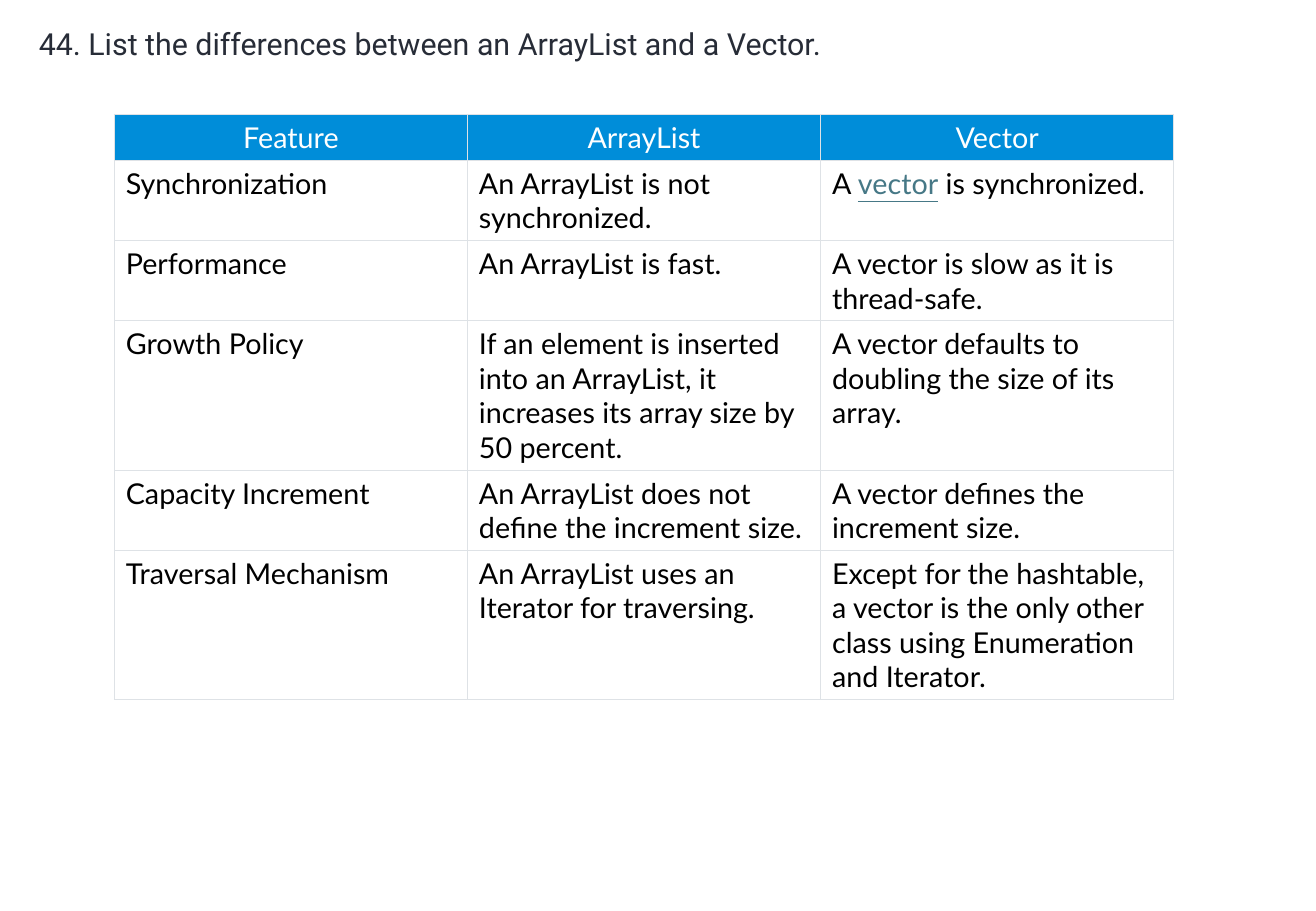
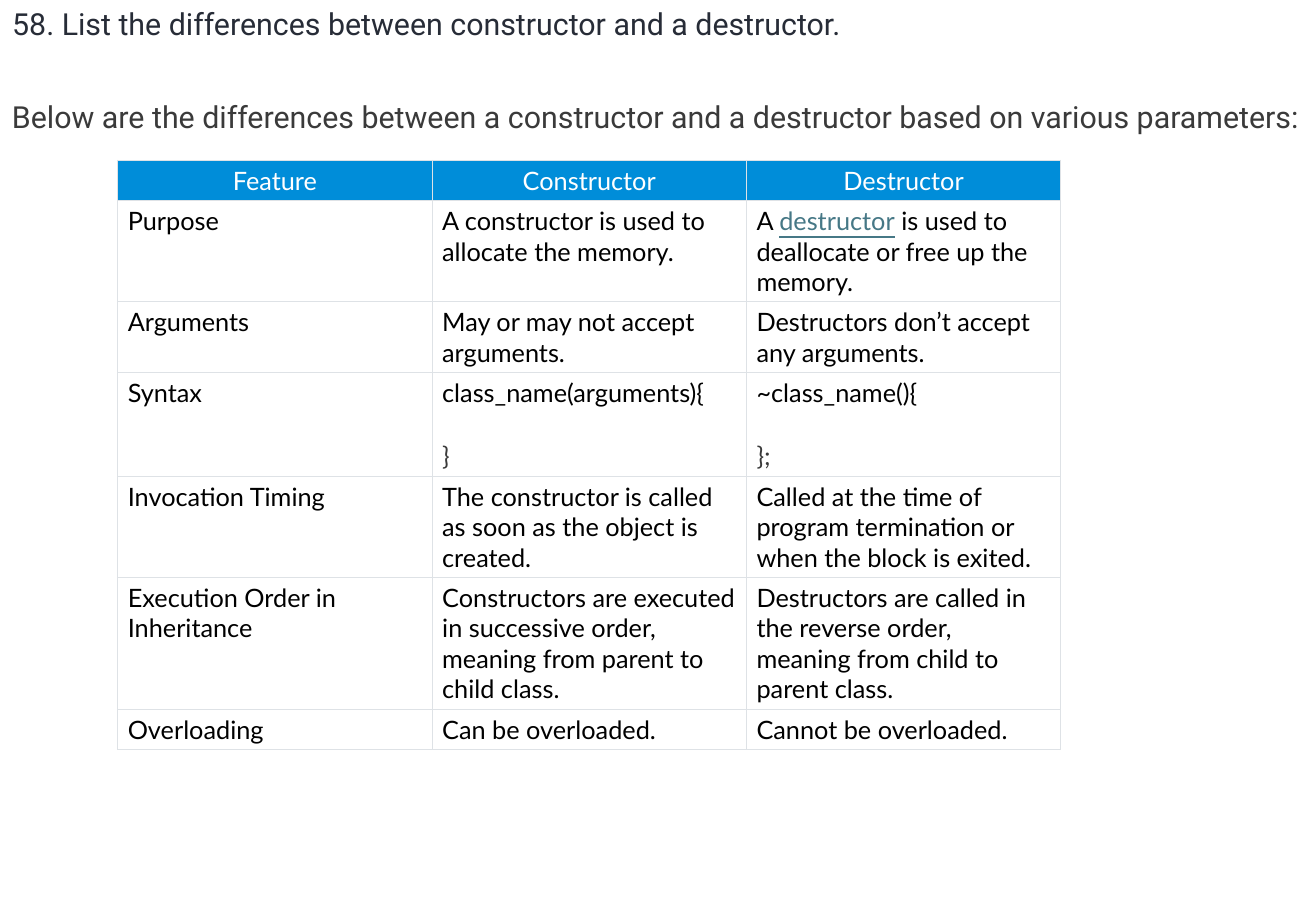
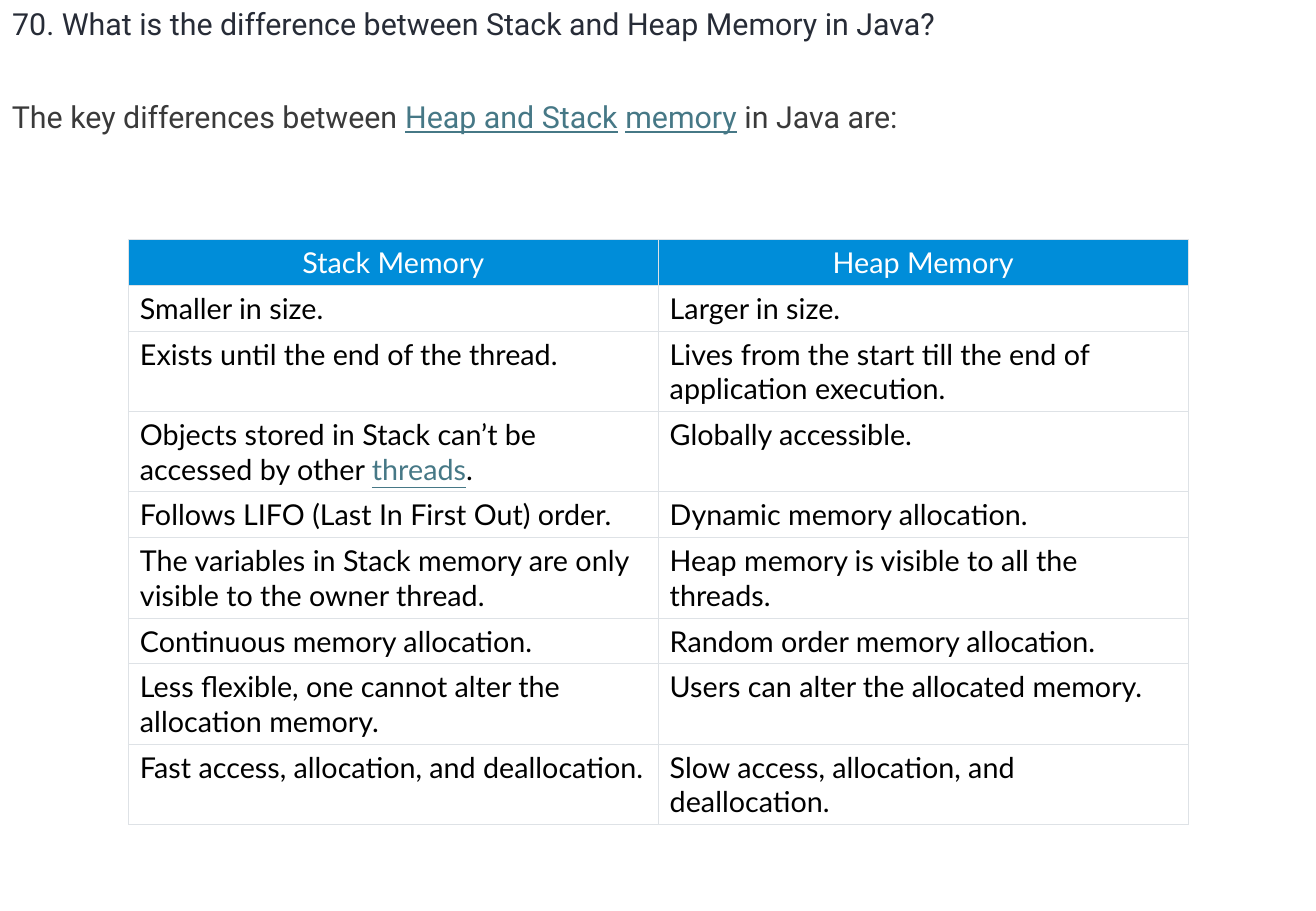
from dataclasses import dataclass

from lxml import etree
from pptx import Presentation
from pptx.dml.color import RGBColor
from pptx.enum.text import MSO_ANCHOR as Anchor, MSO_AUTO_SIZE as AutoSize, PP_ALIGN as Align
from pptx.oxml import parse_xml
from pptx.util import Pt


@dataclass(frozen=True)
class Theme:
    """Colours, fonts and sizes that the slides share."""
    title: str = "272C37"
    body: str = "3A3A3A"
    link: str = "467886"
    header: str = "008DD9"
    paper: str = "FFFFFF"
    ink: str = "000000"
    rule: str = "DEE2E6"
    rule_width: float = 0.6
    heading_font: str = "Roboto"
    table_font: str = "Lato"
    heading_size: float = 18
    line_pitch: float = 21
    intro_gap: float = 16.5
    intro_drop: float = 55.5
    heading_height: float = 28.2
    line_factor: float = 1.2
    side_inset: float = 0.4
    top_inset: float = 0.2


@dataclass(frozen=True)
class Box:
    """A place on the slide, in points."""
    left: float
    top: float
    width: float
    height: float = 0


THEME = Theme()
PAGE = Box(0, 0, 780, 540)
DRAWING = "http://schemas.openxmlformats.org/drawingml/2006/main"

COLLECTIONS = dict(
    question="44. List the differences between an ArrayList and a Vector.",
    heading_box=Box(15.8, 12.2, 518),
    table_box=Box(67.8, 67.8, 628),
    size=17,
    lines=[1, 2, 2, 4, 2, 4],
    rows=[
        ["Feature", "ArrayList", "Vector"],
        ["Synchronization", "An ArrayList is not synchronized.", "A *vector* is synchronized."],
        ["Performance", "An ArrayList is fast.", "A vector is slow as it is thread-safe."],
        ["Growth Policy",
         "If an element is inserted into an ArrayList, it increases its array size by 50 percent.",
         "A vector defaults to doubling the size of its array."],
        ["Capacity Increment", "An ArrayList does not define the increment size.",
         "A vector defines the increment size."],
        ["Traversal Mechanism", "An ArrayList uses an Iterator for traversing.",
         "Except for the hashtable, a vector is the only other class using Enumeration and Iterator."],
    ],
)

LIFECYCLE = dict(
    question="58. List the differences between constructor and a destructor.",
    intro="Below are the differences between a constructor and a destructor "
          "based on various parameters:",
    heading_box=Box(0, 0, 780),
    table_box=Box(69.8, 95, 559),
    size=15,
    lines=[1, 3, 2, 3, 3, 4, 1],
    rows=[
        ["Feature", "Constructor", "Destructor"],
        ["Purpose", "A constructor is used to allocate the memory.",
         "A *destructor* is used to deallocate or free up the memory."],
        ["Arguments", "May or may not accept arguments.", "Destructors don’t accept any arguments."],
        ["Syntax", "class_name(arguments){\n}", "~class_name(){\n};"],
        ["Invocation Timing", "The constructor is called as soon as the object is created.",
         "Called at the time of program termination or when the block is exited."],
        ["Execution Order in Inheritance",
         "Constructors are executed in successive order, meaning from parent to child class.",
         "Destructors are called in the reverse order, meaning from child to parent class."],
        ["Overloading", "Can be overloaded.", "Cannot be overloaded."],
    ],
)

MEMORY = dict(
    question="70. What is the difference between Stack and Heap Memory in Java?",
    intro="The key differences between *Heap and Stack* *memory* in Java are:",
    heading_box=Box(0, 0, 731),
    table_box=Box(76.2, 142, 628),
    size=17,
    lines=[1, 1, 2, 2, 1, 2, 1, 2, 2],
    rows=[
        ["Stack Memory", "Heap Memory"],
        ["Smaller in size.", "Larger in size."],
        ["Exists until the end of the thread.",
         "Lives from the start till the end of application execution."],
        ["Objects stored in Stack can’t be accessed by other *threads*.", "Globally accessible."],
        ["Follows LIFO (Last In First Out) order.", "Dynamic memory allocation."],
        ["The variables in Stack memory are only visible to the owner thread.",
         "Heap memory is visible to all the threads."],
        ["Continuous memory allocation.", "Random order memory allocation."],
        ["Less flexible, one cannot alter the allocation memory.",
         "Users can alter the allocated memory."],
        ["Fast access, allocation, and deallocation.", "Slow access, allocation, and deallocation."],
    ],
)


def add_spans(para, text, font, size, color):
    """Add the text run by run; parts between asterisks look like links."""
    for index, part in enumerate(text.split("*")):
        if not part:
            continue
        linked = index % 2 == 1
        span = para.add_run()
        span.text = part
        span.font.name = font
        span.font.size = Pt(size)
        span.font.underline = linked
        span.font.color.rgb = RGBColor.from_string(THEME.link if linked else color)


def fill_heading(shape, box, text, color, align):
    """Place a one-line heading in its box."""
    shape.left, shape.top = Pt(box.left), Pt(box.top)
    shape.width, shape.height = Pt(box.width), Pt(THEME.heading_height)
    frame = shape.text_frame
    frame.word_wrap = True
    frame.auto_size = AutoSize.NONE
    frame.vertical_anchor = Anchor.TOP
    frame.margin_left = frame.margin_right = Pt(7.2)
    frame.margin_top = frame.margin_bottom = Pt(3.6)
    para = frame.paragraphs[0]
    para.alignment = align
    para.line_spacing = Pt(THEME.line_pitch)
    para.space_before = para.space_after = Pt(0)
    add_spans(para, text, THEME.heading_font, THEME.heading_size, color)


def add_heading(page, box, question, intro):
    """Put the question in the title and the introduction below it."""
    fill_heading(page.shapes.title, box, question, THEME.title, Align.LEFT)
    if intro:
        intro_box = Box(box.left, box.top + THEME.intro_drop, box.width)
        shape = page.shapes.add_textbox(0, 0, 0, 0)
        fill_heading(shape, intro_box, intro, THEME.body, Align.JUSTIFY)


def add_borders(cell):
    """Draw a thin line on all four sides of a cell."""
    properties = cell._tc.get_or_add_tcPr()
    for side in ("lnL", "lnR", "lnT", "lnB"):
        line = etree.SubElement(properties, f"{{{DRAWING}}}{side}", w=str(int(Pt(THEME.rule_width))))
        line.append(parse_xml(
            f'<a:solidFill xmlns:a="{DRAWING}"><a:srgbClr val="{THEME.rule}"/></a:solidFill>'))


def fill_cell(cell, text, size, is_header):
    """Write and format one table cell."""
    add_borders(cell)
    cell.fill.solid()
    cell.fill.fore_color.rgb = RGBColor.from_string(THEME.header if is_header else THEME.paper)
    cell.margin_left = cell.margin_right = Pt(size * THEME.side_inset)
    cell.margin_top = cell.margin_bottom = Pt(size * THEME.top_inset)
    first, *closing = text.split("\n")
    para = cell.text_frame.paragraphs[0]
    para.alignment = Align.CENTER if is_header else Align.LEFT
    add_spans(para, first, THEME.table_font, size, THEME.paper if is_header else THEME.ink)
    for line in closing:
        para = cell.text_frame.add_paragraph()
        para.alignment = Align.JUSTIFY
        para.line_spacing = Pt(THEME.line_pitch)
        para.space_before = Pt(THEME.intro_gap)
        add_spans(para, line, THEME.table_font, size, THEME.body)


def add_comparison(page, box, rows, lines, size):
    """Add a table with equal columns and rows as high as their lines need."""
    heights = [size * (count * THEME.line_factor + 2 * THEME.top_inset) for count in lines]
    columns = len(rows[0])
    table = page.shapes.add_table(len(rows), columns, Pt(box.left), Pt(box.top),
                                  Pt(box.width), Pt(sum(heights))).table
    table.first_row = table.horz_banding = False
    for column in table.columns:
        column.width = Pt(box.width / columns)
    for row_index, (texts, height) in enumerate(zip(rows, heights)):
        table.rows[row_index].height = Pt(height)
        for column_index, text in enumerate(texts):
            fill_cell(table.cell(row_index, column_index), text, size, row_index == 0)


def add_question_page(deck, question, heading_box, table_box, rows, lines, size, intro=""):
    """Add a slide with a question and a comparison table."""
    page = deck.slides.add_slide(deck.slide_layouts.get_by_name("Title Only"))
    page.background.fill.solid()
    page.background.fill.fore_color.rgb = RGBColor.from_string(THEME.paper)
    add_heading(page, heading_box, question, intro)
    add_comparison(page, table_box, rows, lines, size)


def main():
    """Build and save the deck."""
    deck = Presentation()
    deck.slide_width, deck.slide_height = Pt(PAGE.width), Pt(PAGE.height)
    for content in (COLLECTIONS, LIFECYCLE, MEMORY):
        add_question_page(deck, **content)
    deck.save("out.pptx")


if __name__ == "__main__":
    main()
